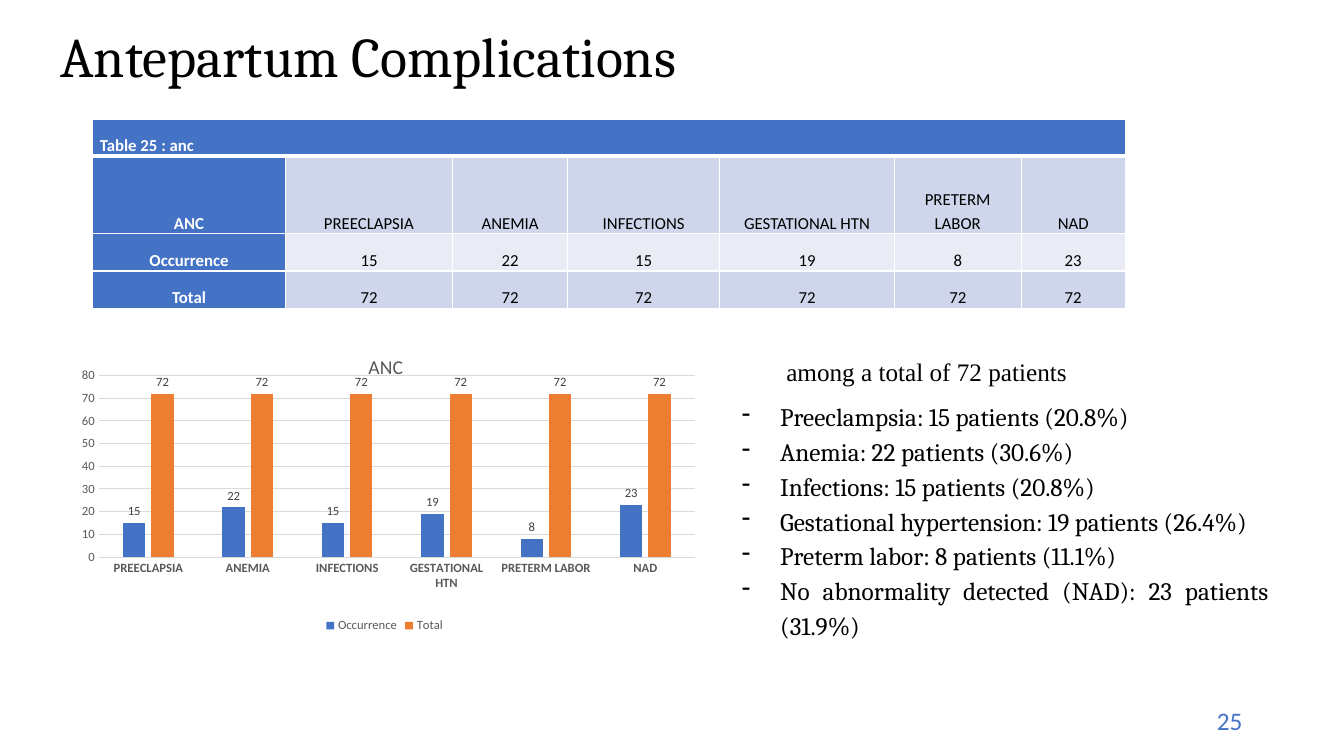
from lxml import etree
from pptx import Presentation
from pptx import util as u
from pptx.chart import data as chart_data
from pptx.dml.color import RGBColor
from pptx.enum import chart as charts, text
from pptx.oxml import ns

BLUE, ORANGE, BLACK, WHITE = "4472C4", "ED7D31", "000000", "FFFFFF"
BAND_DARK, BAND_LIGHT = "CFD5EA", "E9EBF5"
GRID, AXIS_TEXT, LABEL_TEXT = "D9D9D9", "595959", "404040"
ALIGN = text.PP_ALIGN
ANCHOR = text.MSO_ANCHOR

CONDITIONS = ["PREECLAPSIA", "ANEMIA", "INFECTIONS", "GESTATIONAL HTN", "PRETERM LABOR", "NAD"]
OCCURRENCE = [15, 22, 15, 19, 8, 23]
TOTAL = [72] * len(CONDITIONS)
FINDINGS = [
    "Preeclampsia: 15 patients (20.8%)",
    "Anemia: 22 patients (30.6%)",
    "Infections: 15 patients (20.8%)",
    "Gestational hypertension: 19 patients (26.4%)",
    "Preterm labor: 8 patients (11.1%)",
    "No abnormality detected (NAD): 23 patients (31.9%)",
]


def color(value):
    return RGBColor.from_string(value)


def add_child(parent, tag, **attributes):
    child = etree.SubElement(parent, ns.qn(tag))
    for name, value in attributes.items():
        child.set(name, str(value))
    return child


def set_font(font, size, fill, name="Calibri", bold=False):
    font.size, font.name, font.bold = u.Pt(size), name, bold
    font.color.rgb = color(fill)


def place(parent, index, **values):
    """Give a chart part a manual layout, as fractions of the chart."""
    layout = parent.find(ns.qn("c:layout"))
    if layout is None:
        layout = etree.Element(ns.qn("c:layout"))
        parent.insert(index, layout)
    manual = add_child(layout, "c:manualLayout")
    for name, value in values.items():
        add_child(manual, f"c:{name}", val=value)


class ReportSlide:
    def __init__(self, presentation):
        self.slide = presentation.slides.add_slide(presentation.slide_layouts[6])

    def text_box(self, box, lines, size, fill=BLACK, font="Cambria", align=ALIGN.LEFT,
                 anchor=ANCHOR.TOP, spacing=1.0):
        frame = self.slide.shapes.add_textbox(*map(u.Inches, box)).text_frame
        frame.word_wrap = True
        frame.vertical_anchor = anchor
        frame.text = "\n".join(lines)
        for paragraph in frame.paragraphs:
            paragraph.alignment = align
            paragraph.line_spacing = spacing
            set_font(paragraph.runs[0].font, size, fill, font)
        return frame

    def dash_list(self, box, lines):
        frame = self.text_box(box, lines, 18, align=ALIGN.JUSTIFY, spacing=1.15)
        for paragraph in frame.paragraphs:
            properties = paragraph._p.get_or_add_pPr()
            properties.set("marL", str(u.Inches(0.38)))
            properties.set("indent", str(-u.Inches(0.38)))
            add_child(properties, "a:buChar", char="-")
            tabs = add_child(properties, "a:tabLst")
            add_child(tabs, "a:tab", pos=u.Inches(1.77), algn="l")
        frame.paragraphs[-1].space_after = u.Pt(10)

    def cell(self, cell, value, fill, header, align, thick=()):
        properties = cell._tc.get_or_add_tcPr()
        for side in "LRTB":
            width = 3 if side in thick else 1
            line = add_child(properties, f"a:ln{side}", w=u.Pt(width))
            add_child(add_child(line, "a:solidFill"), "a:srgbClr", val=WHITE)
        cell.fill.solid()
        cell.fill.fore_color.rgb = color(fill)
        cell.margin_left = cell.margin_right = u.Inches(0.07)
        cell.margin_top = cell.margin_bottom = 0
        cell.vertical_anchor = ANCHOR.BOTTOM
        cell.text_frame.text = value
        paragraph = cell.text_frame.paragraphs[0]
        paragraph.alignment = align
        paragraph.line_spacing = 1.15
        paragraph.space_after = u.Pt(8)
        for run in paragraph.runs:
            set_font(run.font, 12, WHITE if header else BLACK, bold=header)

    def table(self, box, caption, rows, widths, heights):
        frame = self.slide.shapes.add_table(len(heights), len(widths), *map(u.Inches, box))
        table = frame.table
        for column, width in zip(table.columns, widths):
            column.width = u.Inches(width)
        for row, height in zip(table.rows, heights):
            row.height = u.Inches(height)
        last = len(widths) - 1
        table.cell(0, 0).merge(table.cell(0, last))
        for c in range(len(widths)):
            self.cell(table.cell(0, c), "" if c else caption, BLUE, True, ALIGN.LEFT, "B")
        for r, values in enumerate(rows, 1):
            band = BAND_DARK if r % 2 else BAND_LIGHT
            for c, value in enumerate(values):
                header = c == 0
                self.cell(table.cell(r, c), str(value), BLUE if header else band, header,
                          ALIGN.CENTER, "T" if r == 1 else "")

    def column_chart(self, box, title, categories, series):
        data = chart_data.CategoryChartData()
        data.categories = categories
        for name, values, _ in series:
            data.add_series(name, values)
        chart = self.slide.shapes.add_chart(
            charts.XL_CHART_TYPE.COLUMN_CLUSTERED, *map(u.Inches, box), data).chart
        set_font(chart.font, 10, BLACK)

        # Title and legend
        chart.has_title = True
        chart.chart_title.text_frame.text = title
        set_font(chart.chart_title.text_frame.paragraphs[0].runs[0].font, 14, AXIS_TEXT)
        place(chart.chart_title._element, 1, xMode="edge", yMode="edge", x=0.47, y=0.05)
        chart.has_legend = True
        chart.legend.position = charts.XL_LEGEND_POSITION.BOTTOM
        chart.legend.include_in_layout = False
        set_font(chart.legend.font, 9, AXIS_TEXT)

        # Axes
        for axis in (chart.category_axis, chart.value_axis):
            axis.major_tick_mark = axis.minor_tick_mark = charts.XL_TICK_MARK.NONE
            set_font(axis.tick_labels.font, 9, AXIS_TEXT, bold=axis is chart.category_axis)
        category_axis, value_axis = chart.category_axis, chart.value_axis
        set_font(category_axis.tick_labels.font, 9, AXIS_TEXT, bold=True)
        value_axis.minimum_scale, value_axis.maximum_scale, value_axis.major_unit = 0, 80, 10
        value_axis.has_major_gridlines = True
        value_axis.format.line.fill.background()
        for line in (category_axis.format.line, value_axis.major_gridlines.format.line):
            line.color.rgb = color(GRID)
            line.width = u.Pt(0.75)

        # Columns and their labels
        plot = chart.plots[0]
        plot.gap_width, plot.overlap, plot.vary_by_categories = 219, -27, False
        for column, (_, _, fill) in zip(plot.series, series):
            column.format.fill.solid()
            column.format.fill.fore_color.rgb = color(fill)
            labels = column.data_labels
            labels.show_value = True
            labels.position = charts.XL_LABEL_POSITION.OUTSIDE_END
            set_font(labels.font, 9, LABEL_TEXT)
        plot_area = chart._chartSpace.find(".//" + ns.qn("c:plotArea"))
        place(plot_area, 0, layoutTarget="inner", xMode="edge", yMode="edge",
              x=0.067, y=0.135, w=0.903, h=0.601)


def main():
    presentation = Presentation()
    presentation.slide_width, presentation.slide_height = u.Inches(13.33), u.Inches(7.5)
    page = ReportSlide(presentation)

    # Heading
    page.text_box((0.5, -0.14, 11.5, 1.45), ["Antepartum Complications"], 40,
                  anchor=ANCHOR.MIDDLE, spacing=0.9)

    # Counts as a table and as columns
    page.table((0.92, 1.18, 10.25, 1.89), "Table 25 : anc",
               [["ANC", *CONDITIONS], ["Occurrence", *OCCURRENCE], ["Total", *TOTAL]],
               [1.91, 1.66, 1.14, 1.51, 1.73, 1.26, 1.03], [0.37, 0.77, 0.37, 0.37])
    page.column_chart((0.54, 3.32, 6.55, 3), "ANC", CONDITIONS,
                      [("Occurrence", OCCURRENCE, BLUE), ("Total", TOTAL, ORANGE)])

    # Findings
    page.dash_list((7.26, 3.89, 5.42, 2.86), FINDINGS)
    page.text_box((7.7, 3.49, 4.98, 0.4), ["among a total of 72 patients"], 18,
                  font="Times New Roman")

    # Page number
    page.text_box((9.42, 6.95, 3, 0.4), ["25"], 18, BLUE, "Calibri", ALIGN.RIGHT, ANCHOR.MIDDLE)

    presentation.save("out.pptx")


if __name__ == "__main__":
    main()
